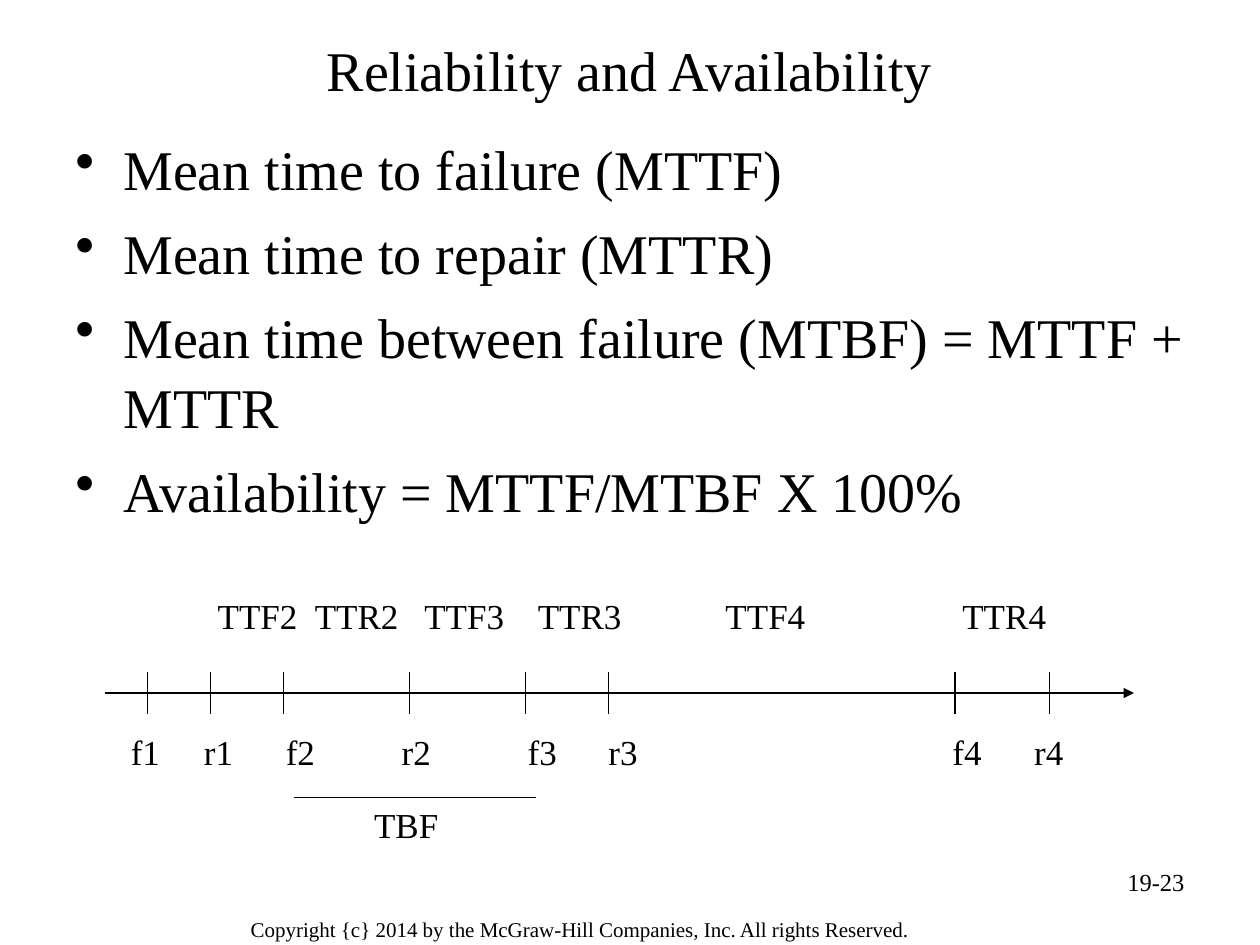
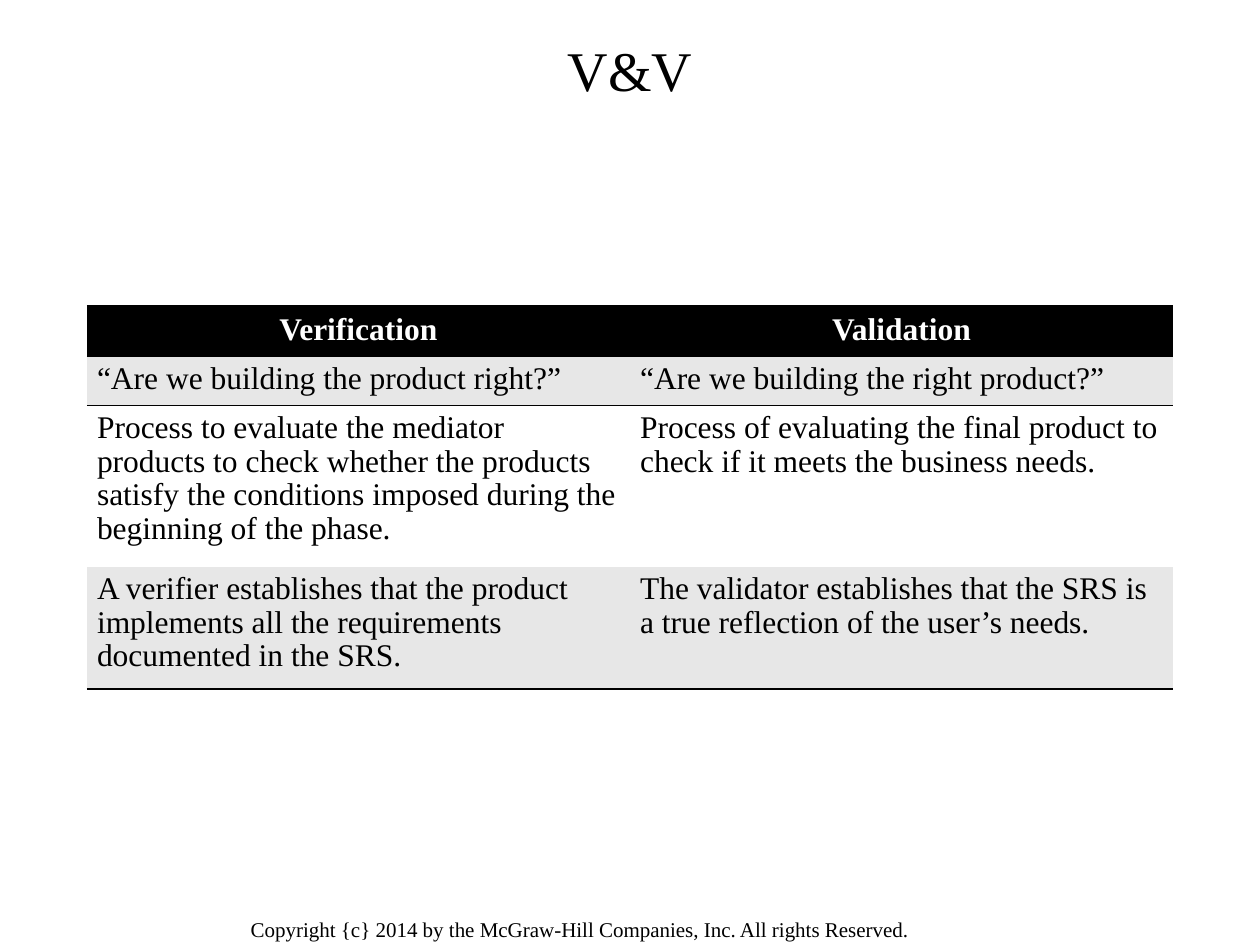
from lxml import etree
from pptx import Presentation
from pptx.dml.color import RGBColor
from pptx.enum.shapes import MSO_CONNECTOR
from pptx.enum.text import MSO_ANCHOR, PP_ALIGN
from pptx.oxml.ns import qn
from pptx.util import Inches, Pt

LEFT, CENTER, RIGHT = PP_ALIGN.LEFT, PP_ALIGN.CENTER, PP_ALIGN.RIGHT
TOP, MIDDLE = MSO_ANCHOR.TOP, MSO_ANCHOR.MIDDLE
STRAIGHT = MSO_CONNECTOR.STRAIGHT

FONT = "Times New Roman"
BLACK, WHITE, BAND = "000000", "FFFFFF", "E7E7E7"
NO_GRID_STYLE = "{2D5ABB26-0587-4C30-8999-92F81FD0307C}"
COPYRIGHT = "Copyright {c} 2014 by the McGraw-Hill Companies, Inc. All rights Reserved."

MEASURES = [
    "Mean time to failure (MTTF)",
    "Mean time to repair (MTTR)",
    "Mean time between failure (MTBF) = MTTF + MTTR",
    "Availability = MTTF/MTBF X 100%",
]
AXIS_Y = 5.5
TICK_HALF = 0.17
TICKS = [1.17, 1.67, 2.25, 3.25, 4.17, 4.83, 7.58, 8.33]
EVENTS = {"f1": 1.04, "r1": 1.62, "f2": 2.27, "r2": 3.19,
          "f3": 4.19, "r3": 4.83, "f4": 7.56, "r4": 8.21}
INTERVALS = {"TTF2": 1.73, "TTR2": 2.5, "TTF3": 3.37,
             "TTR3": 4.27, "TTF4": 5.76, "TTR4": 7.64}

COMPARISON = [
    ("Verification", "Validation"),
    ("“Are we building the product right?”",
     "“Are we building the right product?”"),
    ("Process to evaluate the mediator products to check whether the products "
     "satisfy the conditions imposed during the beginning of the phase.",
     "Process of evaluating the final product to check if it meets the "
     "business needs."),
    ("A verifier establishes that the product implements all the requirements "
     "documented in the SRS.",
     "The validator establishes that the SRS is a true reflection of the "
     "user’s needs."),
]
ROW_HEIGHTS = [0.38, 0.37, 1.28, 0.97]
COLUMN_WIDTH = 4.31


def color(hex_value):
    return RGBColor.from_string(hex_value)


def add_bullet(paragraph, indent):
    properties = paragraph._p.get_or_add_pPr()
    properties.set("marL", str(Inches(indent)))
    properties.set("indent", str(-Inches(indent)))
    etree.SubElement(properties, qn("a:buChar"), char="•")


def add_tabs(paragraph, stops):
    tab_list = etree.SubElement(paragraph._p.get_or_add_pPr(), qn("a:tabLst"))
    for stop in stops:
        etree.SubElement(tab_list, qn("a:tab"), pos=str(Inches(stop)), algn="l")


def write(paragraph, text, size=20, fill=BLACK, bold=False, align=LEFT,
          line_spacing=None):
    paragraph.alignment = align
    if line_spacing:
        paragraph.line_spacing = line_spacing
    run = paragraph.add_run()
    run.text = text
    run.font.name = FONT
    run.font.size = Pt(size)
    run.font.bold = bold
    run.font.color.rgb = color(fill)


def add_frame(slide, left, top, width, height, anchor=TOP, inset=0.1, wrap=True):
    """Add an empty text box and return its text frame."""
    frame = slide.shapes.add_textbox(
        Inches(left), Inches(top), Inches(width), Inches(height)).text_frame
    frame.word_wrap = wrap
    frame.vertical_anchor = anchor
    frame.margin_left = frame.margin_right = Inches(inset)
    frame.margin_top = frame.margin_bottom = Inches(inset / 2)
    return frame


def add_text(slide, text, box, anchor=TOP, inset=0.1, wrap=True, **text_format):
    frame = add_frame(slide, *box, anchor=anchor, inset=inset, wrap=wrap)
    write(frame.paragraphs[0], text, **text_format)


def add_bullets(slide, items, box):
    frame = add_frame(slide, *box)
    for index, item in enumerate(items):
        paragraph = frame.add_paragraph() if index else frame.paragraphs[0]
        if index:
            paragraph.space_before = Pt(8)
        paragraph.line_spacing = 1.04
        add_bullet(paragraph, 0.38)
        write(paragraph, item, size=32)


def add_label_row(slide, labels, top):
    """Write one line of labels, each at its own horizontal position."""
    positions = list(labels.values())
    start = positions[0]
    frame = add_frame(slide, start - 0.1, top, 9.17 - start, 0.44)
    paragraph = frame.paragraphs[0]
    add_tabs(paragraph, [position - start for position in positions[1:]])
    write(paragraph, "\t".join(labels))


def add_line(slide, start_x, start_y, end_x, end_y, arrow=False):
    connector = slide.shapes.add_connector(
        STRAIGHT, Inches(start_x), Inches(start_y), Inches(end_x), Inches(end_y))
    connector.line.color.rgb = color(BLACK)
    connector.line.width = Pt(1)
    if arrow:
        etree.SubElement(connector.line._get_or_add_ln(), qn("a:tailEnd"),
                         type="triangle")
    etree.SubElement(connector._element.spPr, qn("a:effectLst"))


def add_border(cell, side):
    """Draw a thin black line on side "T" or "B"; call before filling."""
    line = etree.SubElement(cell._tc.get_or_add_tcPr(), qn("a:ln" + side),
                            w=str(Pt(0.96)))
    fill = etree.SubElement(line, qn("a:solidFill"))
    etree.SubElement(fill, qn("a:srgbClr"), val=BLACK)


def add_comparison_table(slide, rows, left, top):
    column_count = len(rows[0])
    table = slide.shapes.add_table(
        len(rows), column_count, Inches(left), Inches(top),
        Inches(COLUMN_WIDTH * column_count), Inches(sum(ROW_HEIGHTS))).table
    table._tbl.tblPr.find(qn("a:tableStyleId")).text = NO_GRID_STYLE
    for column in table.columns:
        column.width = Inches(COLUMN_WIDTH)
    for row_index, texts in enumerate(rows):
        table.rows[row_index].height = Inches(ROW_HEIGHTS[row_index])
        is_header = row_index == 0
        for column_index, text in enumerate(texts):
            cell = table.cell(row_index, column_index)
            if row_index < 2:
                add_border(cell, "T")
            if row_index in (0, len(rows) - 1):
                add_border(cell, "B")
            cell.fill.solid()
            cell.fill.fore_color.rgb = color(
                BLACK if is_header else BAND if row_index % 2 else WHITE)
            cell.margin_left = cell.margin_right = Inches(0.08)
            cell.margin_top = cell.margin_bottom = Inches(0.05)
            write(cell.text_frame.paragraphs[0], text, size=18, bold=is_header,
                  fill=WHITE if is_header else BLACK,
                  align=CENTER if is_header else LEFT,
                  line_spacing=None if is_header else 0.96)


def add_titled_slide(presentation, title):
    slide = presentation.slides.add_slide(presentation.slide_layouts[6])
    add_text(slide, COPYRIGHT, (1.88, 7.22, 6.19, 0.31), inset=0.11, size=12)
    add_text(slide, title, (0.5, 0.17, 9, 0.75), anchor=MIDDLE, size=32,
             align=CENTER)
    return slide


def add_timeline(slide):
    add_line(slide, 0.83, AXIS_Y, 9, AXIS_Y, arrow=True)
    for tick in TICKS:
        add_line(slide, tick, AXIS_Y - TICK_HALF, tick, AXIS_Y + TICK_HALF)
    add_label_row(slide, EVENTS, 5.75)
    add_label_row(slide, INTERVALS, 4.67)
    add_line(slide, 2.33, 6.33, 4.25, 6.33)
    add_text(slide, "TBF", (2.87, 6.33, 0.71, 0.44), wrap=False)


def main():
    presentation = Presentation()
    presentation.slide_width = Inches(10)
    presentation.slide_height = Inches(7.5)

    reliability = add_titled_slide(presentation, "Reliability and Availability")
    add_text(reliability, "19-23", (7.17, 6.83, 2.33, 0.52), size=14, align=RIGHT)
    add_bullets(reliability, MEASURES, (0.5, 1, 9, 3.23))
    add_timeline(reliability)

    comparison = add_titled_slide(presentation, "V&V")
    add_comparison_table(comparison, COMPARISON, 0.69, 2.43)

    presentation.save("out.pptx")


if __name__ == "__main__":
    main()
